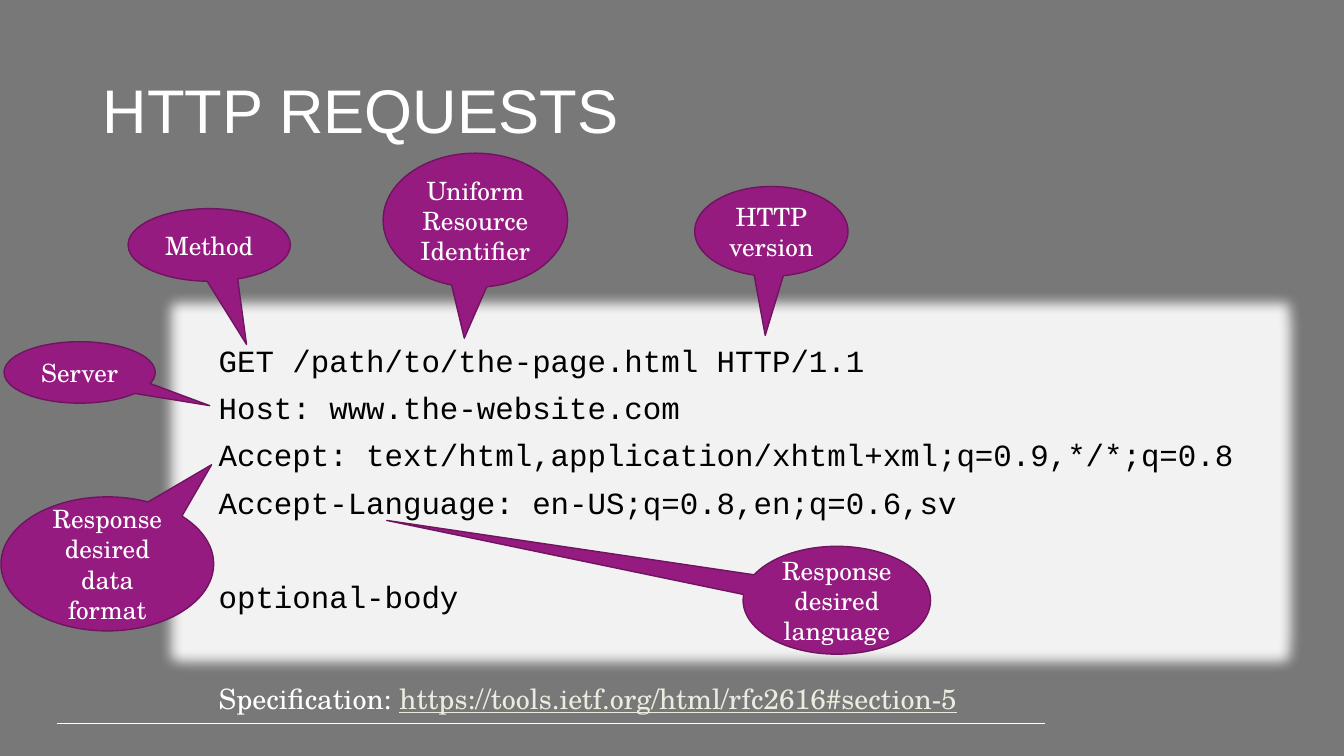
from lxml.etree import SubElement
from pptx import Presentation
from pptx.dml.color import RGBColor
from pptx.enum.shapes import MSO_CONNECTOR, MSO_SHAPE
from pptx.enum.text import MSO_ANCHOR, PP_ALIGN
from pptx.oxml.ns import qn
from pptx.util import Inches, Pt

REQUEST_LINES = [
    "GET /path/to/the-page.html HTTP/1.1",
    "Host: www.the-website.com",
    "Accept: text/html,application/xhtml+xml;q=0.9,*/*;q=0.8",
    "Accept-Language: en-US;q=0.8,en;q=0.6,sv",
    "optional-body",
]
LINE_GAP = 10
BODY_GAP = 44

# text, (left, top, width, height), (tail x, tail y) relative to the centre
CALLOUTS = [
    ("Method", (1.27, 2.07, 1.61, 0.72), (0.23, 1.37)),
    ("Server", (0.04, 3.39, 1.5, 0.61), (0.86, 0.54)),
    ("Uniform Resource Identifier", (3.8, 1.52, 1.83, 1.33), (-0.06, 0.88)),
    ("HTTP version", (6.89, 1.85, 1.52, 0.89), (-0.04, 1.16)),
    ("Response desired data format", (0.01, 4.93, 2.11, 1.33), (0.49, -0.74)),
    ("Response desired language", (7.37, 5.42, 1.86, 1.07), (-2.4, -0.74)),
]


def color(value):
    return RGBColor.from_string(value)


def add_span(para, text, *, size, font, fill, underline=None):
    span = para.add_run()
    span.text = text
    span.font.size = Pt(size)
    span.font.name = font
    span.font.color.rgb = color(fill)
    span.font.underline = underline


class RequestSlide:
    heading_font = "Arial"
    code_font = "Courier New"
    body_font = "TeX Gyre Schola"
    white = "FFFFFF"
    black = "000000"
    link = "EBEBDF"
    background = "787878"
    panel = "F2F2F2"
    purple = "961B81"
    purple_edge = "6F145F"

    def __init__(self, page):
        self.page = page
        page.background.fill.solid()
        page.background.fill.fore_color.rgb = color(self.background)

    def add_rule(self, start, end, y):
        rule = self.page.shapes.add_connector(
            MSO_CONNECTOR.STRAIGHT, Inches(start), Inches(y), Inches(end), Inches(y))
        rule.line.color.rgb = color(self.white)
        rule.line.width = Pt(0.75)
        SubElement(rule.element.spPr, qn("a:effectLst"))

    def add_text(self, bounds, spans, anchor=MSO_ANCHOR.TOP):
        """Add a one-paragraph text box from (text, format) pairs."""
        box = self.page.shapes.add_textbox(*map(Inches, bounds))
        box.text_frame.word_wrap = True
        box.text_frame.vertical_anchor = anchor
        para = box.text_frame.paragraphs[0]
        para.line_spacing = 0.9
        for text, style in spans:
            add_span(para, text, **style)

    def add_filled_shape(self, kind, bounds, fill, anchor):
        shape = self.page.shapes.add_shape(kind, *map(Inches, bounds))
        shape.shadow.inherit = False
        shape.fill.solid()
        shape.fill.fore_color.rgb = color(fill)
        shape.text_frame.word_wrap = True
        shape.text_frame.vertical_anchor = anchor
        return shape

    def add_code_panel(self, bounds, lines):
        """Add a glowing panel whose last line is set apart as the body."""
        panel = self.add_filled_shape(
            MSO_SHAPE.RECTANGLE, bounds, self.panel, MSO_ANCHOR.TOP)
        panel.line.fill.background()
        effects = panel.element.spPr.find(qn("a:effectLst"))
        glow = SubElement(effects, qn("a:glow"), rad=str(Pt(18)))
        SubElement(glow, qn("a:srgbClr"), val=self.panel)
        frame = panel.text_frame
        for index, line in enumerate(lines):
            para = frame.add_paragraph() if index else frame.paragraphs[0]
            para.alignment = PP_ALIGN.LEFT
            para.line_spacing = 0.9
            if index:
                para.space_before = Pt(BODY_GAP if line == lines[-1] else LINE_GAP)
            add_span(para, line, size=22, font=self.code_font, fill=self.black)

    def add_callout(self, text, bounds, tail):
        callout = self.add_filled_shape(
            MSO_SHAPE.OVAL_CALLOUT, bounds, self.purple, MSO_ANCHOR.MIDDLE)
        callout.line.color.rgb = color(self.purple_edge)
        callout.line.width = Pt(1)
        for index, offset in enumerate(tail):
            callout.adjustments[index] = offset
        para = callout.text_frame.paragraphs[0]
        para.alignment = PP_ALIGN.CENTER
        add_span(para, text, size=18, font=self.body_font, fill=self.white)


def main():
    deck = Presentation()
    deck.slide_width = Inches(13.33)
    deck.slide_height = Inches(7.5)
    slide = RequestSlide(deck.slides.add_slide(deck.slide_layouts[6]))

    slide.add_rule(0.57, 10.36, 7.18)
    heading = dict(size=44, font=slide.heading_font, fill=slide.white)
    slide.add_text((0.92, 0.4, 11.5, 1.45), [("HTTP REQUESTS", heading)],
                   MSO_ANCHOR.MIDDLE)
    slide.add_code_panel((2.07, 3.38, 10.35, 2.8), REQUEST_LINES)

    body = dict(size=20, font=slide.body_font, fill=slide.white)
    link = dict(body, fill=slide.link, underline=True)
    slide.add_text((2.07, 6.75, 8.68, 0.4), [
        ("Specification: ", body),
        ("https://tools.ietf.org/html/rfc2616#section-5", link),
    ])
    for text, bounds, tail in CALLOUTS:
        slide.add_callout(text, bounds, tail)

    deck.save("out.pptx")


if __name__ == "__main__":
    main()
